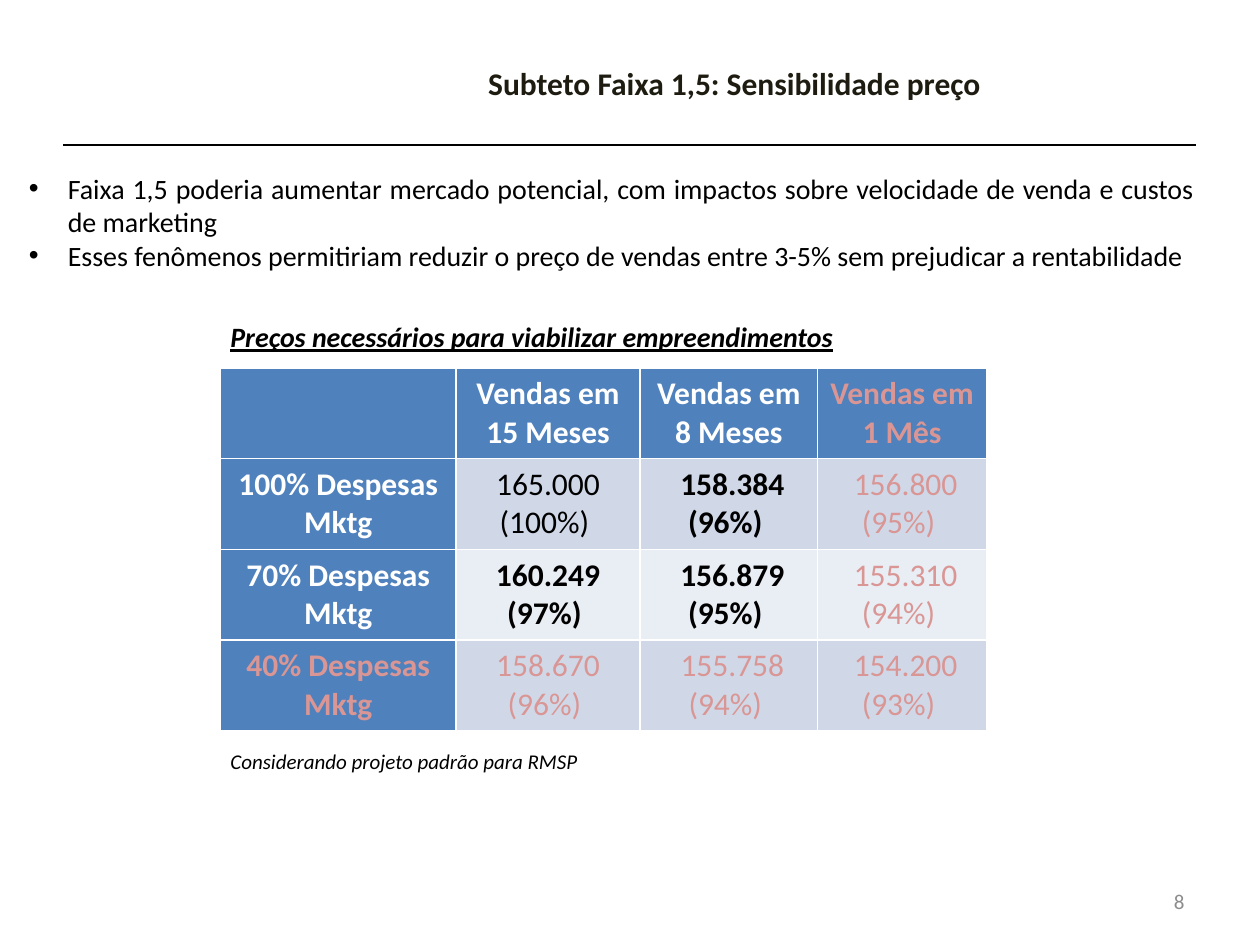
from dataclasses import dataclass
from typing import Any

from lxml.etree import SubElement
from pptx import Presentation
from pptx.dml.color import RGBColor as RGB
from pptx.enum.shapes import MSO_CONNECTOR as Connector
from pptx.enum.text import MSO_ANCHOR as Anchor, MSO_AUTO_SIZE as AutoSize, PP_ALIGN as Align
from pptx.oxml.ns import qn
from pptx.util import Inches, Pt

BLACK = RGB(0x00, 0x00, 0x00)
WHITE = RGB(0xFF, 0xFF, 0xFF)
TITLE_INK = RGB(0x1E, 0x1C, 0x11)
PAGE_GRAY = RGB(0x8C, 0x8C, 0x8C)
ROSE = RGB(0xD9, 0x96, 0x94)
HEADER_BLUE = RGB(0x4F, 0x81, 0xBD)
BANDS = RGB(0xD0, 0xD8, 0xE8), RGB(0xE9, 0xED, 0xF4)

CLAIMS = [
    "Faixa 1,5 poderia aumentar mercado potencial, com impactos sobre velocidade de venda e custos de marketing",
    "Esses fenômenos permitiriam reduzir o preço de vendas entre 3-5% sem prejudicar a rentabilidade ",
]
PRICES = [
    ["", "Vendas em 15 Meses", "Vendas em 8 Meses", "Vendas em 1 Mês"],
    ["100% Despesas Mktg", "165.000 (100%) ", " 158.384 (96%) ", " 156.800 (95%) "],
    ["70% Despesas Mktg", "160.249 (97%) ", " 156.879 (95%) ", " 155.310 (94%) "],
    ["40% Despesas Mktg", "158.670 (96%) ", " 155.758 (94%) ", " 154.200 (93%) "],
]


def write(frame, text, size=16, color=BLACK, bold=False, italic=False, underline=False,
          align=Align.LEFT, bullet_indent=None, font="Calibri"):
    """Fill a text frame with one paragraph per line of text."""
    frame.text = text
    for paragraph in frame.paragraphs:
        paragraph.alignment = align
        if bullet_indent:
            props = paragraph._p.get_or_add_pPr()
            props.set("marL", str(Inches(bullet_indent)))
            props.set("indent", str(-Inches(bullet_indent)))
            SubElement(props, qn("a:buFont"), typeface="Arial")
            SubElement(props, qn("a:buChar"), char="•")
        for run in paragraph.runs:
            style = run.font
            style.name, style.size, style.color.rgb = font, Pt(size), color
            style.bold, style.italic, style.underline = bold, italic, underline


@dataclass
class Canvas:
    """Draws on one slide, measured in grid units of a tenth of an inch."""
    slide: Any
    unit: float = 0.1

    def lengths(self, *units):
        """Turn grid units into slide lengths."""
        return [Inches(count * self.unit) for count in units]

    def title(self, text, *box, **style):
        """Place and format the title placeholder."""
        heading = self.slide.shapes.title
        heading.left, heading.top, heading.width, heading.height = self.lengths(*box)
        heading.text_frame.vertical_anchor = Anchor.TOP
        heading.text_frame.auto_size = AutoSize.NONE
        write(heading.text_frame, text, **style)

    def text(self, text, *box, wrap=True, anchor=Anchor.TOP, **style):
        """Add a text box."""
        frame = self.slide.shapes.add_textbox(*self.lengths(*box)).text_frame
        frame.word_wrap, frame.vertical_anchor = wrap, anchor
        write(frame, text, **style)

    def rule(self, *ends, color=BLACK, weight=1.5):
        """Add a straight line without shadow."""
        line = self.slide.shapes.add_connector(Connector.STRAIGHT, *self.lengths(*ends))
        line.line.color.rgb, line.line.width = color, Pt(weight)
        SubElement(line._element.spPr, qn("a:effectLst"))

    def price_table(self, rows, left, top, widths, row_height):
        """Add the price matrix with its header row and header column."""
        box = self.lengths(left, top, sum(widths), row_height * len(rows))
        table = self.slide.shapes.add_table(len(rows), len(widths), *box).table
        table.first_col = True
        for column, width in zip(table.columns, self.lengths(*widths)):
            column.width = width
        last_row, last_column = len(rows) - 1, len(widths) - 1
        for r, row in enumerate(rows):
            for c, label in enumerate(row):
                header, muted = r == 0 or c == 0, r == last_row or c == last_column
                cell = table.cell(r, c)
                cell.fill.solid()
                cell.fill.fore_color.rgb = HEADER_BLUE if header else BANDS[(r - 1) % 2]
                cell.vertical_anchor = Anchor.MIDDLE
                cell.margin_left = cell.margin_right = Inches(0.05)
                cell.margin_top = cell.margin_bottom = 0
                write(cell.text_frame, label, size=18, align=Align.CENTER,
                      color=ROSE if muted else WHITE if header else BLACK,
                      bold=header or not (muted or r == c == 1))


def main():
    """Build and save the price sensitivity slide."""
    deck = Presentation()
    deck.slide_width, deck.slide_height = Inches(10), Inches(7.5)
    canvas = Canvas(deck.slides.add_slide(deck.slide_layouts[5]))
    canvas.rule(5, 11.5, 94.9, 11.5)
    canvas.title("Subteto Faixa 1,5: Sensibilidade preço", 20.9, 4.6, 74.8, 4,
                 size=18, color=TITLE_INK, bold=True, align=Align.CENTER)
    canvas.text("\n".join(CLAIMS), 1.3, 13.1, 94.5, 9.1, align=Align.JUSTIFY, bullet_indent=0.31)
    canvas.text("Preços necessários para viabilizar empreendimentos", 17.3, 24.9, 50.5, 3.7,
                wrap=False, bold=True, italic=True, underline=True)
    canvas.price_table(PRICES, 17.5, 29.2, [18.7, 14.6, 14.1, 13.4], 7.2)
    canvas.text("Considerando projeto padrão para RMSP", 17.3, 58.9, 29.8, 3,
                wrap=False, size=12, italic=True)
    canvas.text("8", 71.7, 69.5, 23.3, 4, anchor=Anchor.MIDDLE, size=12, color=PAGE_GRAY,
                align=Align.RIGHT)
    deck.save("out.pptx")


if __name__ == "__main__":
    main()
